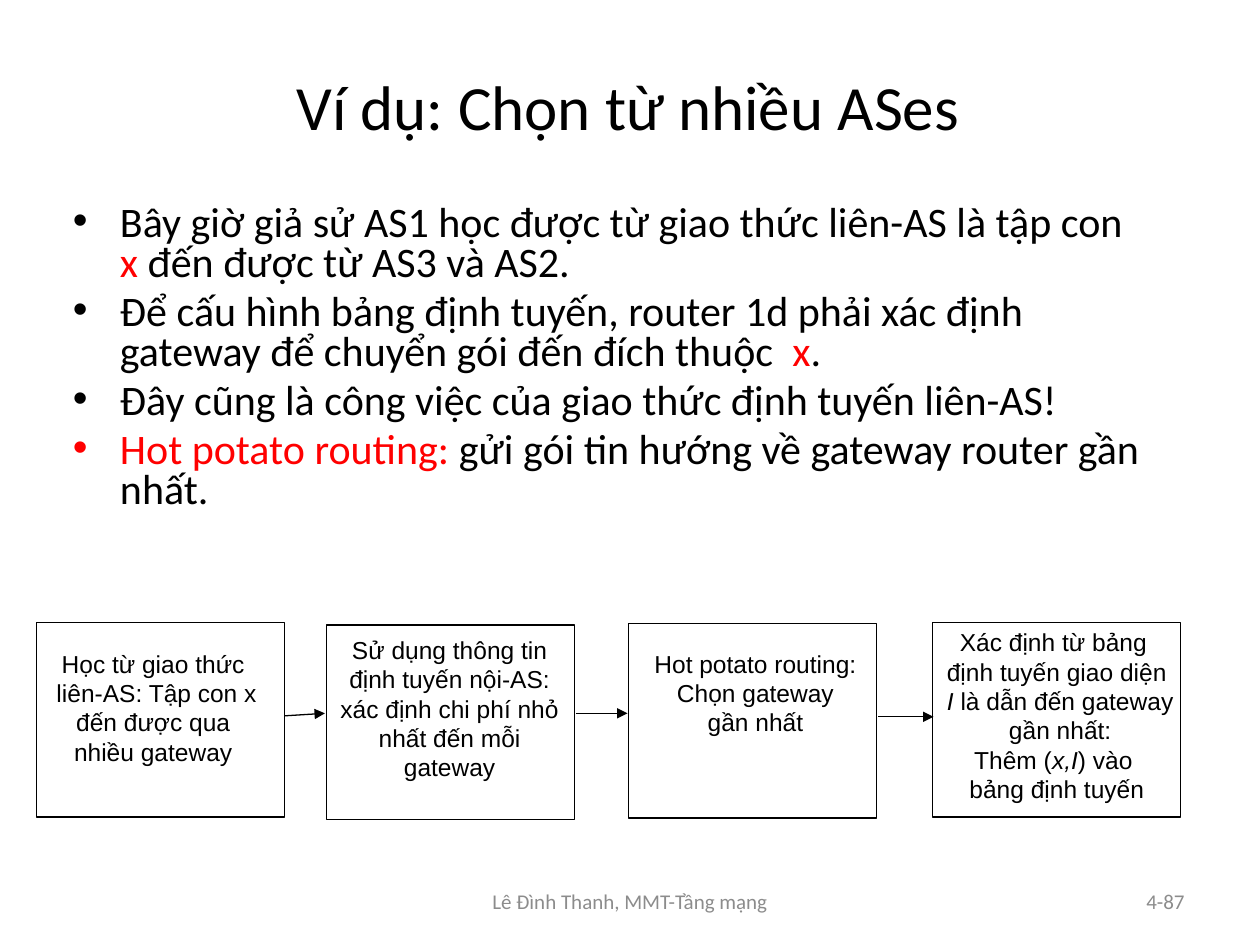
import pptx
import pptx.dml.color
import pptx.enum.shapes
import pptx.enum.text
import pptx.oxml.ns
import pptx.oxml.xmlchemy
import pptx.util
from pptx.util import Cm

ALIGN = pptx.enum.text.PP_ALIGN
ANCHOR = pptx.enum.text.MSO_ANCHOR
BLACK, RED, GRAY = "000000", "FF0000", "8C8C8C"


def color(hex_string):
    return pptx.dml.color.RGBColor.from_string(hex_string)


def add_text(place, lines, font, size, ink=BLACK, align=ALIGN.CENTER,
             anchor=ANCHOR.TOP, wrap=True, accent=None):
    """Segments between bars are accented: in the accent color, else italic."""
    shape = slide.shapes.add_textbox(*map(Cm, place))
    frame = shape.text_frame
    frame.word_wrap = wrap
    frame.vertical_anchor = anchor
    for index, line in enumerate(lines):
        paragraph = frame.paragraphs[0] if index == 0 else frame.add_paragraph()
        paragraph.alignment = align
        paragraph.font.name = font
        paragraph.font.size = pptx.util.Pt(size)
        for position, segment in enumerate(line.split("|")):
            if not segment:
                continue
            run = paragraph.add_run()
            run.text = segment
            accented = position % 2 == 1
            run.font.color.rgb = color(accent if accented and accent else ink)
            if accented and not accent:
                run.font.italic = True
    return frame


presentation = pptx.Presentation()
presentation.slide_width = Cm(25.4)
presentation.slide_height = Cm(19.05)
slide = presentation.slides.add_slide(presentation.slide_layouts[6])

# Footer and slide number
add_text((8.68, 17.66, 8.04, 1.01), ["Lê Đình Thanh, MMT-Tầng mạng"],
         "Calibri", 12, GRAY, anchor=ANCHOR.MIDDLE)
add_text((18.2, 17.66, 5.93, 1.01), ["4-87"], "Calibri", 12, GRAY,
         align=ALIGN.RIGHT, anchor=ANCHOR.MIDDLE)

# Process steps: box left and top, label place, label wrap, label lines
steps = [
    ((0.74, 12.55), (0.74, 12.95, 4.7, 2.64), False,
     ["Học từ giao thức", " liên-AS: Tập con x", " đến được qua ",
      "nhiều gateway"]),
    ((6.58, 12.6), (6.5, 12.67, 5.13, 3.25), True,
     ["Sử dụng thông tin định tuyến nội-AS: xác định chi phí nhỏ "
      "nhất đến mỗi gateway"]),
    ((12.67, 12.57), (12.73, 12.95, 5, 2.06), True,
     ["Hot potato routing:", "Chọn gateway", "gần nhất"]),
    ((18.8, 12.55), (18.69, 12.52, 5.23, 3.84), False,
     ["Xác định từ bảng ", "định tuyến giao diện", "| I |là dẫn đến gateway",
      " gần nhất:", "Thêm (|x,I|) vào ", "bảng định tuyến"]),
]
for (left, top), label_place, wrap, lines in steps:
    box = slide.shapes.add_shape(pptx.enum.shapes.MSO_SHAPE.RECTANGLE,
                                 Cm(left), Cm(top), Cm(5), Cm(3.92))
    box.shadow.inherit = False
    box.fill.background()
    box.line.color.rgb = color(BLACK)
    box.line.width = pptx.util.Pt(0.75)
    add_text(label_place, lines, "Arial", 14, wrap=wrap)

# Arrows between the steps
arrows = [(5.74, 14.43, 6.55, 14.38), (11.61, 14.38, 12.65, 14.38),
          (17.7, 14.45, 18.82, 14.45)]
for ends in arrows:
    arrow = slide.shapes.add_connector(
        pptx.enum.shapes.MSO_CONNECTOR.STRAIGHT, *map(Cm, ends))
    arrow.line.color.rgb = color(BLACK)
    arrow.line.width = pptx.util.Pt(0.75)
    head = pptx.oxml.xmlchemy.OxmlElement("a:tailEnd")
    head.set("type", "triangle")
    properties = arrow._element.spPr
    properties.find(pptx.oxml.ns.qn("a:ln")).append(head)
    properties.append(pptx.oxml.xmlchemy.OxmlElement("a:effectLst"))

# Title
add_text((0.48, 0.53, 24.36, 3.18), ["Ví dụ: Chọn từ nhiều ASes"],
         "Calibri", 36, anchor=ANCHOR.MIDDLE)

# Bulleted body
body = add_text((1.22, 4.01, 22.2, 7.65), [
    "Bây giờ giả sử AS1 học được từ giao thức liên-AS là tập con |x| "
    "đến được từ AS3 và AS2.",
    "Để cấu hình bảng định tuyến, router 1d phải xác định gateway để "
    "chuyển gói đến đích thuộc  |x|.",
    "Đây cũng là công việc của giao thức định tuyến liên-AS!",
    "|Hot potato routing:| gửi gói tin hướng về gateway router gần nhất.",
], "Calibri", 24, align=ALIGN.LEFT, accent=RED)
for paragraph in body.paragraphs:
    paragraph.line_spacing = 0.8
    paragraph.space_before = pptx.util.Pt(4.8)
    properties = paragraph._p.get_or_add_pPr()
    properties.set("marL", str(Cm(0.95)))
    properties.set("indent", str(-Cm(0.95)))
    bullet_font = pptx.oxml.xmlchemy.OxmlElement("a:buFont")
    bullet_font.set("typeface", "Arial")
    bullet = pptx.oxml.xmlchemy.OxmlElement("a:buChar")
    bullet.set("char", "•")
    defaults = properties.find(pptx.oxml.ns.qn("a:defRPr"))
    defaults.addprevious(bullet_font)
    defaults.addprevious(bullet)

presentation.save("out.pptx")
